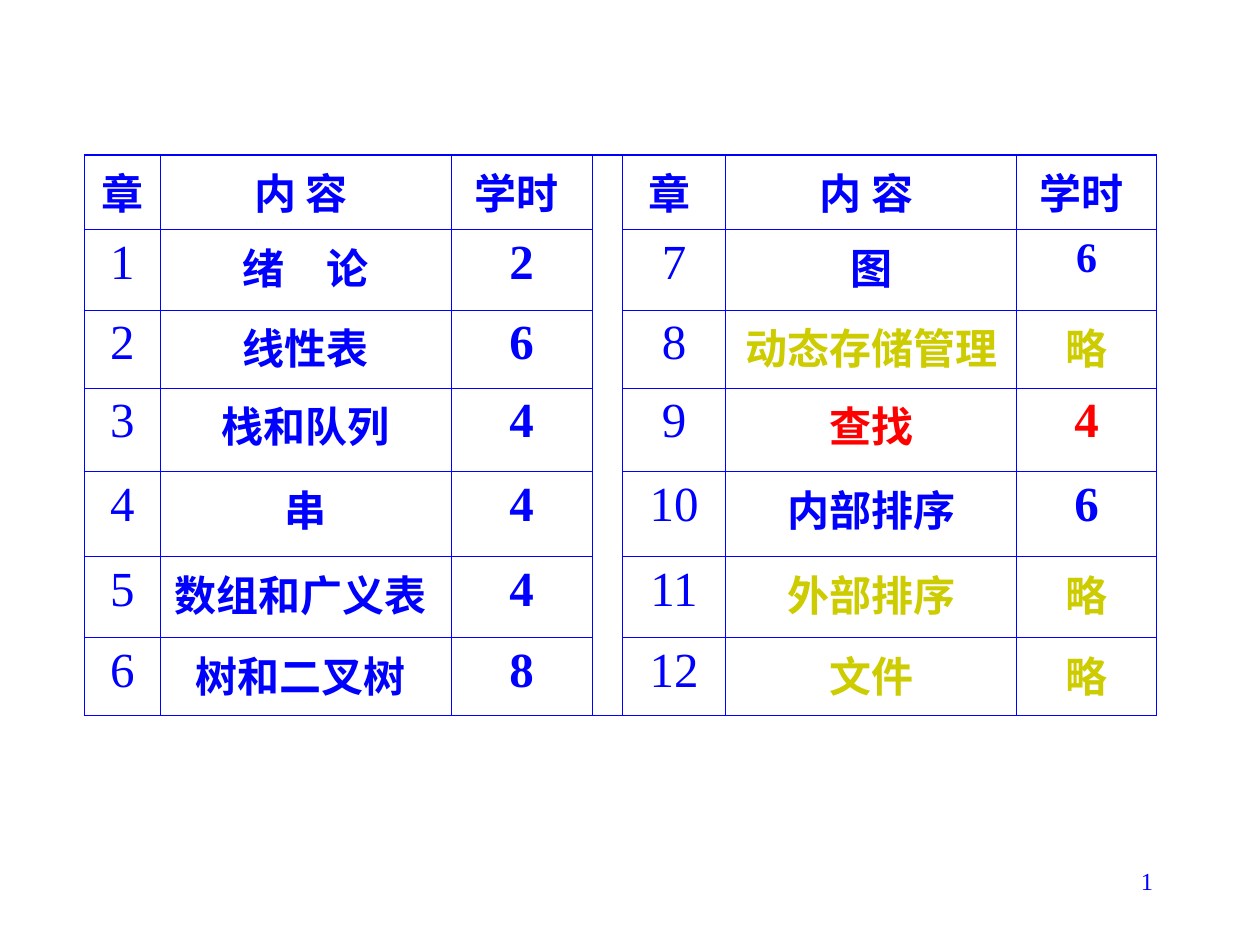
"""Course outline slide: chapters, topics and class hours in a two-part table."""
from dataclasses import dataclass
from itertools import product
from typing import NamedTuple, Optional

from lxml.etree import SubElement
from pptx import Presentation
from pptx.dml.color import RGBColor as Rgb
from pptx.enum.text import PP_ALIGN as Align
from pptx.oxml.ns import qn
from pptx.util import Inches, Pt


@dataclass(frozen=True)
class Theme:
    font: str = "Times New Roman"
    main: str = "0000FF"
    skipped: str = "CCCC00"
    stressed: str = "FF0000"
    word_size: int = 24
    figure_size: int = 28
    page_size: int = 14
    thin: float = 0.45
    thick: float = 1.08


THEME = Theme()
WIDTH, HEIGHT = Inches(10), Inches(7.5)


class Lesson(NamedTuple):
    chapter: str
    topic: str
    hours: str
    color: str = THEME.main
    hours_size: Optional[int] = None


HEADINGS = ("章", "内 容 ", "学时 "), ("章 ", "内 容 ", "学时 ")
LESSONS = (
    (
        Lesson("1", "绪　论", "2"),
        Lesson("2", "线性表", "6"),
        Lesson("3", "栈和队列", "4"),
        Lesson("4", "串", "4"),
        Lesson("5", "数组和广义表 ", "4"),
        Lesson("6", "树和二叉树 ", "8"),
    ),
    (
        Lesson("7", "图", "6", hours_size=THEME.word_size),
        Lesson("8", "动态存储管理", "略", THEME.skipped),
        Lesson("9", "查找", "4", THEME.stressed),
        Lesson("10", "内部排序", "6"),
        Lesson("11", "外部排序", "略", THEME.skipped),
        Lesson("12", "文件", "略", THEME.skipped),
    ),
)
COLUMNS = (0.6, 2.31, 1.12, 0.24, 0.82, 2.31, 1.11)
ROWS = (0.59, 0.64, 0.62, 0.66, 0.68, 0.64, 0.62)
GAP_COLUMN = 3


def style(paragraph, align: Align, size: int, color: str, bold: bool = False) -> None:
    """Set the alignment and font of a paragraph."""
    paragraph.alignment = align
    font = paragraph.font
    font.name, font.size, font.bold = THEME.font, Pt(size), bold
    font.color.rgb = Rgb.from_string(color)


def write(cell, text: str, color: str = THEME.main, bold: bool = True,
          size: Optional[int] = None) -> None:
    """Write centred text, with figures larger than words."""
    size = size or (THEME.figure_size if text.isdigit() else THEME.word_size)
    cell.text = text
    entry = cell.text_frame.paragraphs[0]
    style(entry, Align.CENTER, size, color, bold)
    entry.space_before = Pt(size // 4)


def rule_cell(cell, row: int, column: int) -> None:
    """Draw thick lines on the table's rim and thin ones inside, without fill."""
    rim = {
        "lnL": column == 0,
        "lnR": column == len(COLUMNS) - 1,
        "lnT": row == 0,
        "lnB": row == len(ROWS) - 1,
    }
    properties = cell._tc.get_or_add_tcPr()
    for side, outer in rim.items():
        weight = THEME.thick if outer else THEME.thin
        line = SubElement(properties, qn(f"a:{side}"), w=str(int(Pt(weight))))
        fill = SubElement(line, qn("a:solidFill"))
        SubElement(fill, qn("a:srgbClr"), val=THEME.main)
    cell.fill.background()


def add_outline(slide) -> None:
    """Add the table holding both halves of the course."""
    outline = slide.shapes.add_table(
        len(ROWS), len(COLUMNS), Inches(0.67), Inches(1.23),
        Inches(sum(COLUMNS)), Inches(sum(ROWS))).table
    outline.first_row = outline.horz_banding = False
    for column, width in zip(outline.columns, COLUMNS):
        column.width = Inches(width)
    for row, height in zip(outline.rows, ROWS):
        row.height = Inches(height)
    for row, column in product(range(len(ROWS)), range(len(COLUMNS))):
        rule_cell(outline.cell(row, column), row, column)
    outline.cell(0, GAP_COLUMN).merge(outline.cell(len(ROWS) - 1, GAP_COLUMN))

    for start, headings, lessons in zip((0, GAP_COLUMN + 1), HEADINGS, LESSONS):
        for offset, heading in enumerate(headings):
            write(outline.cell(0, start + offset), heading)
        for row, lesson in enumerate(lessons, 1):
            chapter, topic, hours = (outline.cell(row, start + i) for i in range(3))
            write(chapter, lesson.chapter, bold=False)
            write(topic, lesson.topic, lesson.color)
            write(hours, lesson.hours, lesson.color, size=lesson.hours_size)


def add_page_number(slide, number: str) -> None:
    """Add the page number at the lower right."""
    box = slide.shapes.add_textbox(
        int(WIDTH * 0.717), int(HEIGHT * 0.91), int(WIDTH * 0.208), Inches(0.5))
    box.text_frame.word_wrap = True
    box.text_frame.text = number
    style(box.text_frame.paragraphs[0], Align.RIGHT, THEME.page_size, THEME.main)


def main() -> None:
    """Build and save the slide."""
    deck = Presentation()
    deck.slide_width, deck.slide_height = WIDTH, HEIGHT
    slide = deck.slides.add_slide(deck.slide_layouts[6])
    add_outline(slide)
    add_page_number(slide, "1")
    deck.save("out.pptx")


if __name__ == "__main__":
    main()
